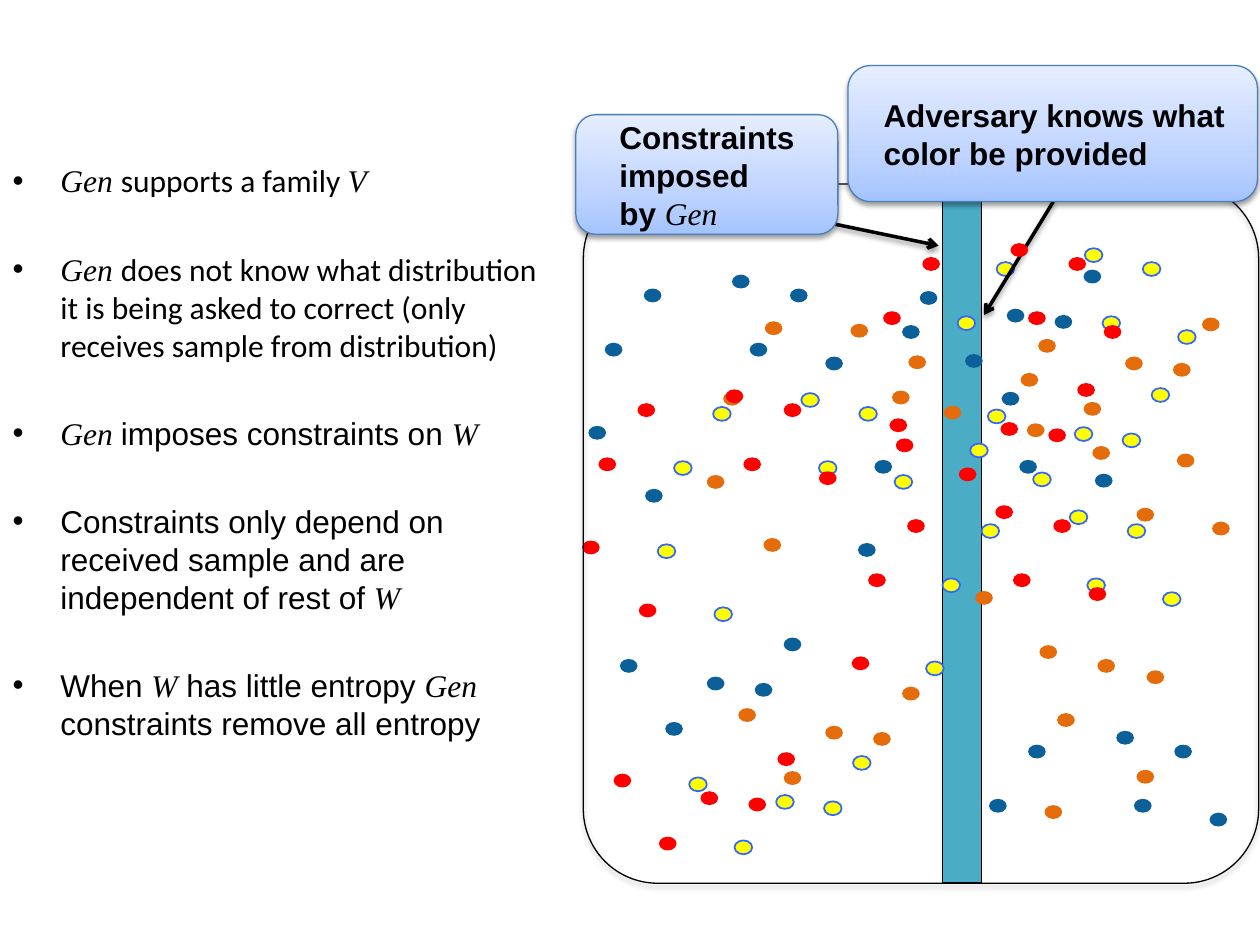
import pptx
import pptx.util
import pptx.dml.color
import pptx.oxml
import pptx.oxml.ns
import pptx.enum.shapes
import pptx.enum.text

Inches, Pt = pptx.util.Inches, pptx.util.Pt
KINDS = pptx.enum.shapes.MSO_SHAPE
NS = pptx.oxml.ns.nsdecls("a")

# Words between asterisks are set in italic Times New Roman.
BULLETS = [
    ("Calibri", "*Gen *supports a family *V*"),
    ("Calibri", "*Gen *does not know what distribution it is being asked "
                "to correct (only receives sample from distribution)"),
    ("Arial", "*Gen *imposes constraints on *W*"),
    ("Arial", "Constraints only depend on received sample and are "
              "independent of rest of *W*"),
    ("Arial", "When *W* has little entropy *Gen *constraints remove all entropy"),
]
NOTES = [  # place, left inset, text
    ((4.57, 0.91, 2.08, 0.95), 0.3, "Constraints imposed \vby *Gen*"),
    ((6.73, 0.52, 3.25, 1.08), 0.23, "Adversary knows what color be provided"),
]


def shift(spots, start):
    """Move every spot by the start point."""
    return [(start[0] + x, start[1] + y) for x, y in spots]


# Every colour repeats the same clusters; each is relative to its first dot.
BOW = [(0, 0), (0.13, -0.66), (1.6, -1.09), (1.14, -1.2),
       (1.88, -0.55), (1.28, -0.66), (0.44, -1.09)]
FAN = [(0, 0), (-0.36, -0.5), (0.33, -0.36), (0.94, -0.67), (0.71, -0.31)]
WING = FAN + [(-0.5, -0.23)]
TREE = BOW + shift(FAN + [(-0.16, -1.85)], (0.61, 2.35))

# Each cluster: its dots, where it starts, the numbers of the dots left out.
# Strays are single dots that belong to no cluster.
BLUE = {
    "fill": "0B609A", "line": None, "strays": [],
    "clusters": [(BOW, (6.81, 4.31), {2, 6}), (TREE, (4.67, 3.38), {}),
                 (WING, (7.66, 2.81), {}), (BOW, (7.72, 7), {0})],
}
YELLOW = {
    "fill": "FFFF00", "line": "3366FF", "strays": [],
    "clusters": [(BOW, (7.35, 5.25), {}), (TREE, (5.22, 4.32), {}),
                 (WING, (8.2, 3.75), {}), (BOW, (7.47, 3.17), {0})],
}
ORANGE = {
    "fill": "E46C0A", "line": None,
    "strays": [(8.67, 3.54), (8.15, 3.36), (7.21, 2.82), (7.08, 3.1),
               (6.07, 2.55), (8.29, 6.39), (9.1, 5.32), (9.02, 6.11)],
    "clusters": [(BOW, (7.74, 4.69), {1, 3, 6}), (TREE, (5.61, 3.77), {2, 5, 6}),
                 (WING, (8.6, 3.19), {}), (BOW, (7.11, 6.32), {0, 1, 4, 6})],
}
RED = {
    "fill": "FF0000", "line": None, "strays": [(7.06, 3.32)],
    "clusters": [(BOW, (6.76, 5.21), {}), (TREE, (4.62, 4.29), {}),
                 (WING, (7.61, 3.71), {1}), (BOW, (6.88, 3.13), {0})],
}
DOT = (0.14, 0.11)
SIZE, PITCH, GAP = Pt(18), Pt(21.7), Pt(28.6)
INDENT = Inches(0.38)
STOPS = [(0, "A4C4FF"), (35, "BFD4FF"), (100, "E6EEFF")]


def color(code):
    return pptx.dml.color.RGBColor.from_string(code)


def assign(target, values):
    """Set each named attribute of the target."""
    for name, value in values.items():
        setattr(target, name, value)


def draw(shapes, kind, place, fill=None, line=None, width=1):
    shape = shapes.add_shape(kind, *map(Inches, place))
    shape.shadow.inherit = False
    for part, code in ((shape.fill, fill), (shape.line.fill, line)):
        if code:
            part.solid()
            part.fore_color.rgb = color(code)
        else:
            part.background()
    if line:
        shape.line.width = Pt(width)
    return shape


def shade(shape, alpha):
    """Give the shape a soft shadow straight below it."""
    props = shape._element.spPr
    for old in props.findall(pptx.oxml.ns.qn("a:effectLst")):
        props.remove(old)
    props.append(pptx.oxml.parse_xml(
        f'<a:effectLst {NS}><a:outerShdw blurRad="{Pt(3.1)}" dist="{Pt(1.7)}" '
        f'dir="5400000" rotWithShape="0"><a:srgbClr val="000000">'
        f'<a:alpha val="{alpha * 1000}"/></a:srgbClr></a:outerShdw></a:effectLst>'))


def blend(shape):
    """Fill the shape with the gradient, running from bottom to top."""
    stops = "".join(f'<a:gs pos="{pos * 1000}"><a:srgbClr val="{code}"/></a:gs>'
                    for pos, code in STOPS)
    props = shape._element.spPr
    props.remove(props.find(pptx.oxml.ns.qn("a:noFill")))
    props.insert(2, pptx.oxml.parse_xml(
        f'<a:gradFill {NS} rotWithShape="1"><a:gsLst>{stops}</a:gsLst>'
        '<a:lin ang="16200000" scaled="0"/></a:gradFill>'))


def write(para, text, face, bold=False):
    """Add the text as runs, with the terms between asterisks in italics."""
    assign(para, {"line_spacing": PITCH,
                  "alignment": pptx.enum.text.PP_ALIGN.LEFT})
    for num, piece in enumerate(text.split("*")):
        term = num % 2 == 1
        look = {"name": "Times New Roman" if term else face, "size": SIZE,
                "bold": bold and not term, "italic": term}
        for pos, words in enumerate(piece.split("\v")):
            if pos:
                para.add_line_break()
            if words:
                run = para.add_run()
                run.text = words
                assign(run.font, look)
                run.font.color.rgb = color("000000")


def scatter(slide, sample):
    """Draw all dots of one colour as a group."""
    spots = list(sample["strays"])
    for cluster, start, skip in sample["clusters"]:
        spots += [spot for num, spot in enumerate(shift(cluster, start))
                  if num not in skip]
    group = slide.shapes.add_group_shape()
    for spot in spots:
        draw(group.shapes, KINDS.OVAL, spot + DOT, sample["fill"], sample["line"])


def point(slide, start, end):
    """Draw an arrow from start to end."""
    arrow = slide.shapes.add_connector(
        pptx.enum.shapes.MSO_CONNECTOR.STRAIGHT, *map(Inches, start + end))
    arrow.line.color.rgb = color("000000")
    arrow.line.width = Pt(2)
    arrow.line._ln.append(pptx.oxml.parse_xml(f'<a:tailEnd {NS} type="arrow"/>'))
    shade(arrow, 38)


def list_points(body):
    assign(body, {"left": 0, "top": Inches(1.23),
                  "width": Inches(4.44), "height": Inches(5.64)})
    frame = body.text_frame
    for num, (face, text) in enumerate(BULLETS):
        para = frame.add_paragraph() if num else frame.paragraphs[0]
        write(para, text, face)
        para.space_before = GAP if num else Pt(0)
        props = para._p.get_or_add_pPr()
        props.set("marL", str(INDENT))
        props.set("indent", str(-INDENT))


def add_note(slide, place, inset, text):
    note = draw(slide.shapes, KINDS.ROUNDED_RECTANGLE, place,
                line="4B7EBC", width=0.75)
    blend(note)
    shade(note, 38)
    edge = Inches(0.05)
    assign(note.text_frame, {
        "word_wrap": True, "margin_left": Inches(inset), "margin_right": edge,
        "margin_top": edge, "margin_bottom": edge,
        "vertical_anchor": pptx.enum.text.MSO_ANCHOR.MIDDLE})
    write(note.text_frame.paragraphs[0], text, "Arial", bold=True)


def main():
    deck = pptx.Presentation()
    assign(deck, {"slide_width": Inches(10), "slide_height": Inches(7.5)})
    slide = deck.slides.add_slide(deck.slide_layouts[1])
    title = slide.shapes.title._element
    title.getparent().remove(title)

    list_points(slide.placeholders[1])
    draw(slide.shapes, KINDS.RECTANGLE, (7.48, 1.46, 0.31, 5.55), "4BACC6", "000000")
    for sample in (BLUE, YELLOW, ORANGE):
        scatter(slide, sample)
    point(slide, (8.36, 1.6), (7.81, 2.5))
    scatter(slide, RED)
    point(slide, (6.63, 1.78), (7.45, 1.95))

    space = draw(slide.shapes, KINDS.ROUNDED_RECTANGLE, (4.63, 1.46, 5.36, 5.55),
                 line="000000", width=0.75)
    space.adjustments[0] = 0.11
    shade(space, 35)
    for note in NOTES:
        add_note(slide, *note)
    deck.save("out.pptx")


if __name__ == "__main__":
    main()
